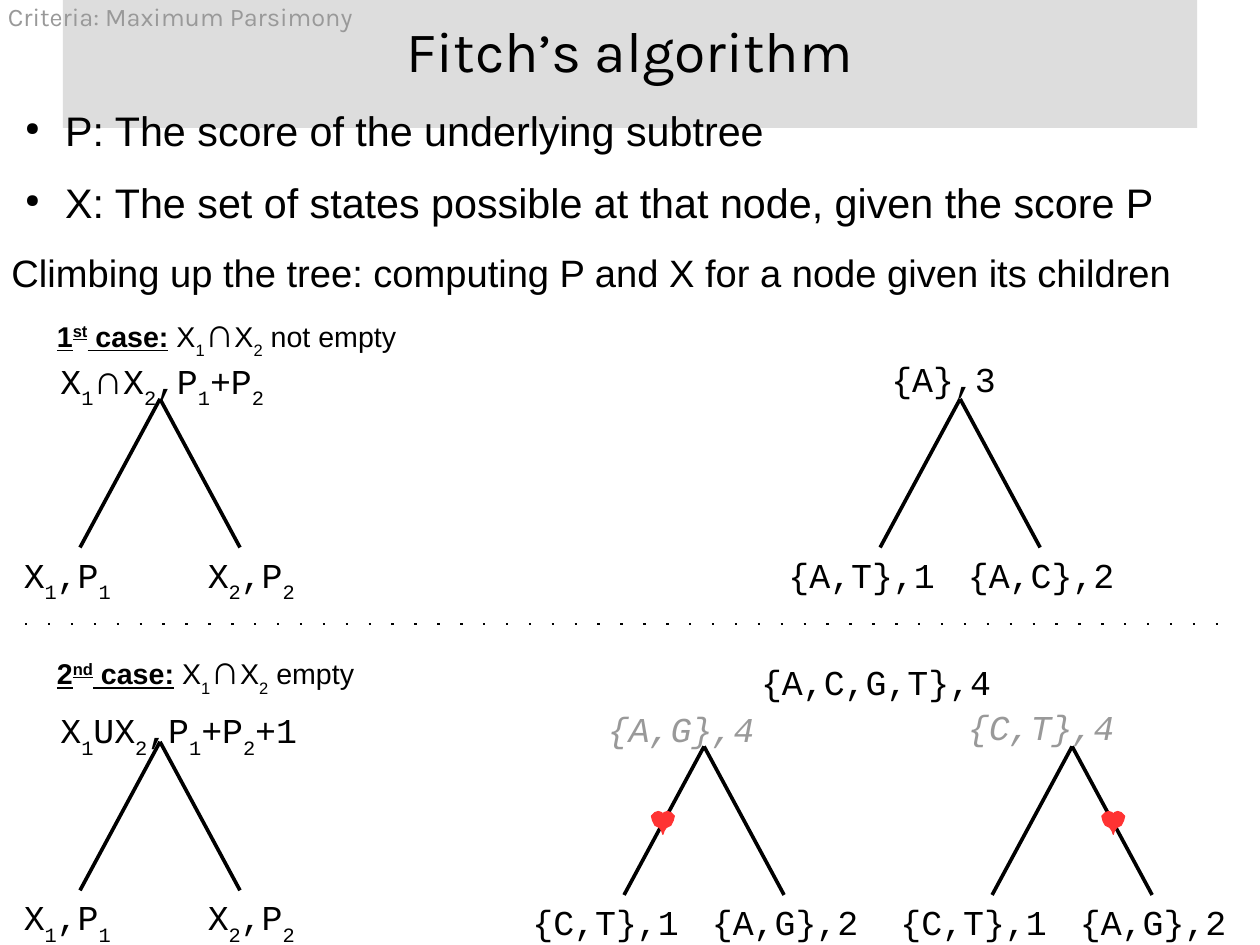
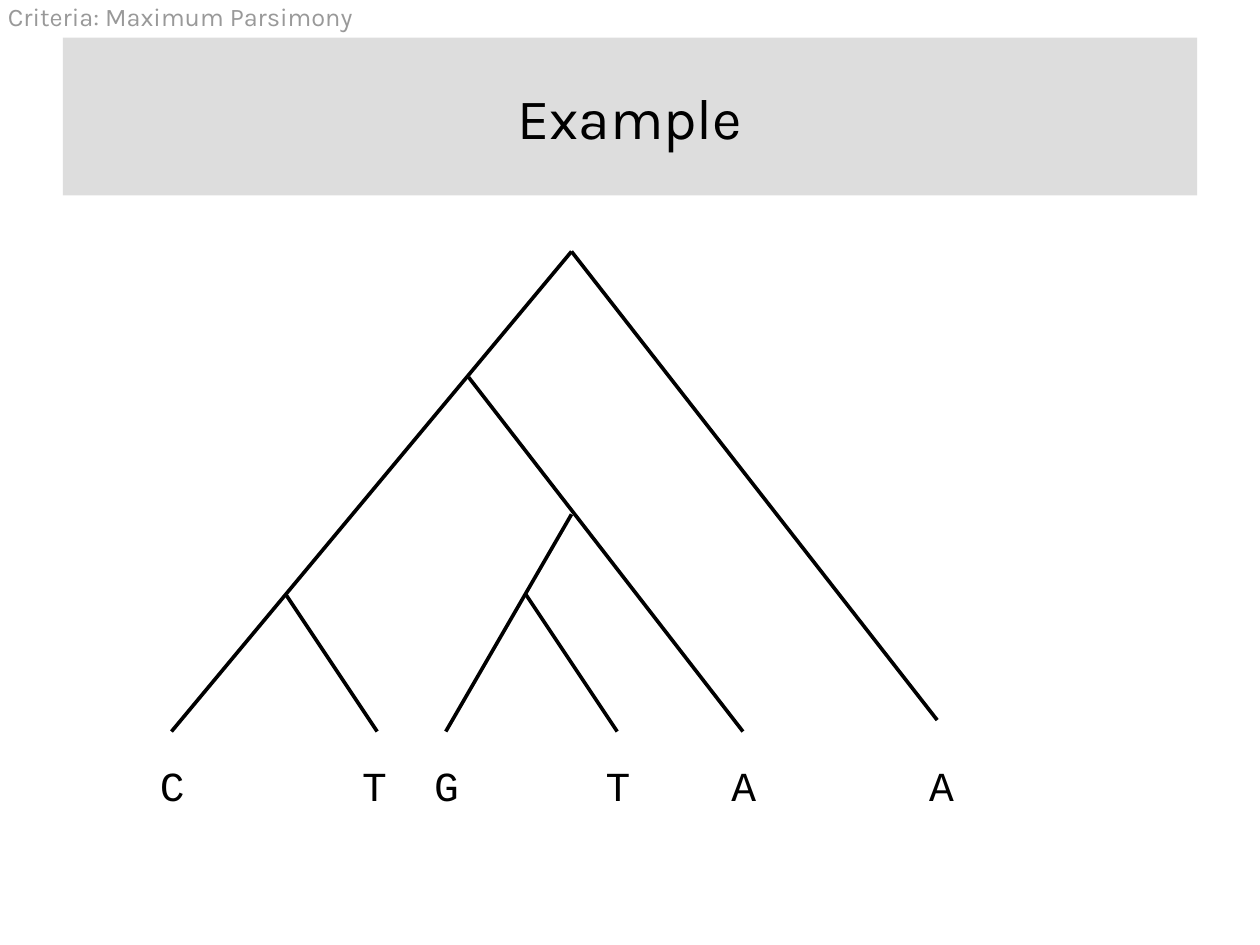
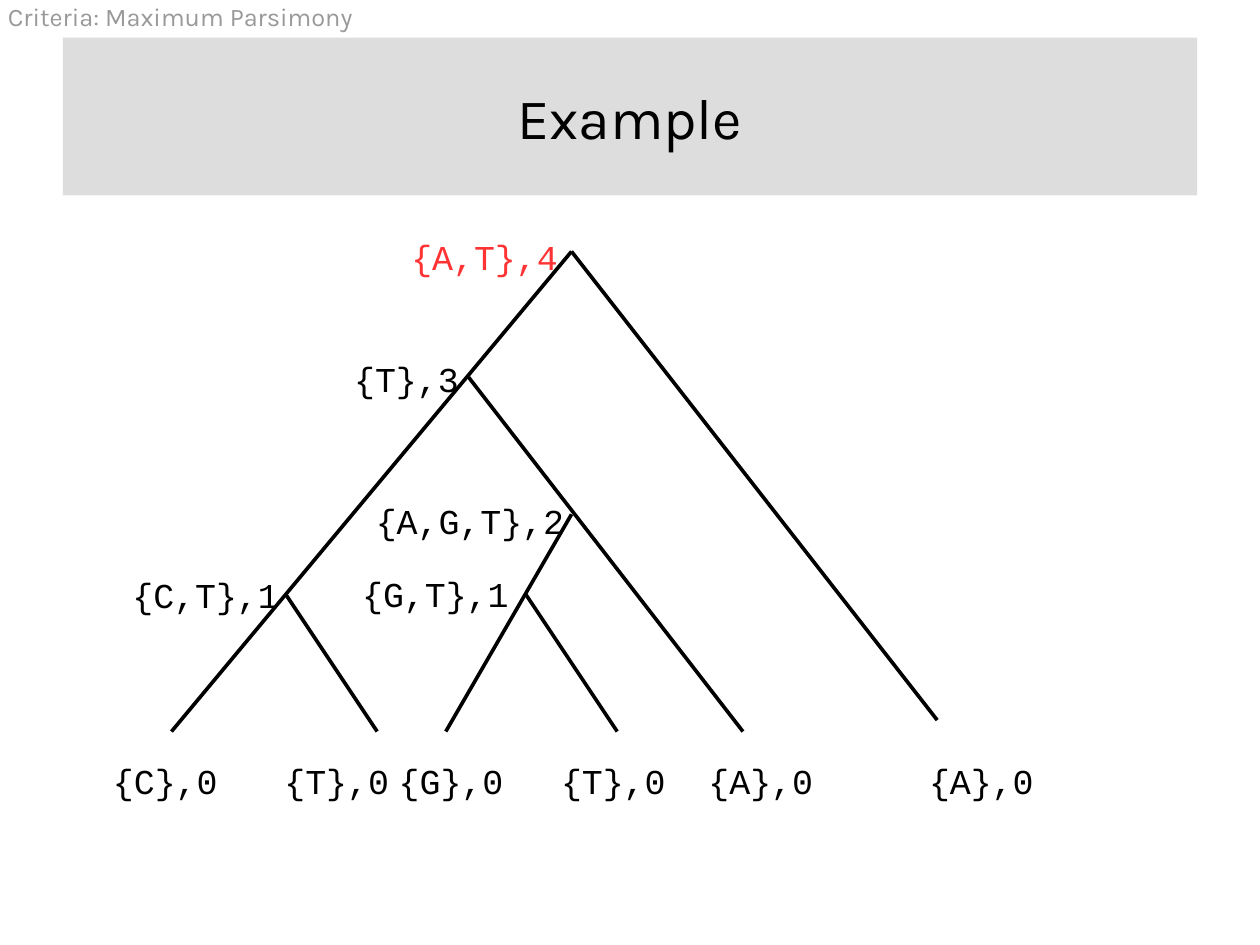
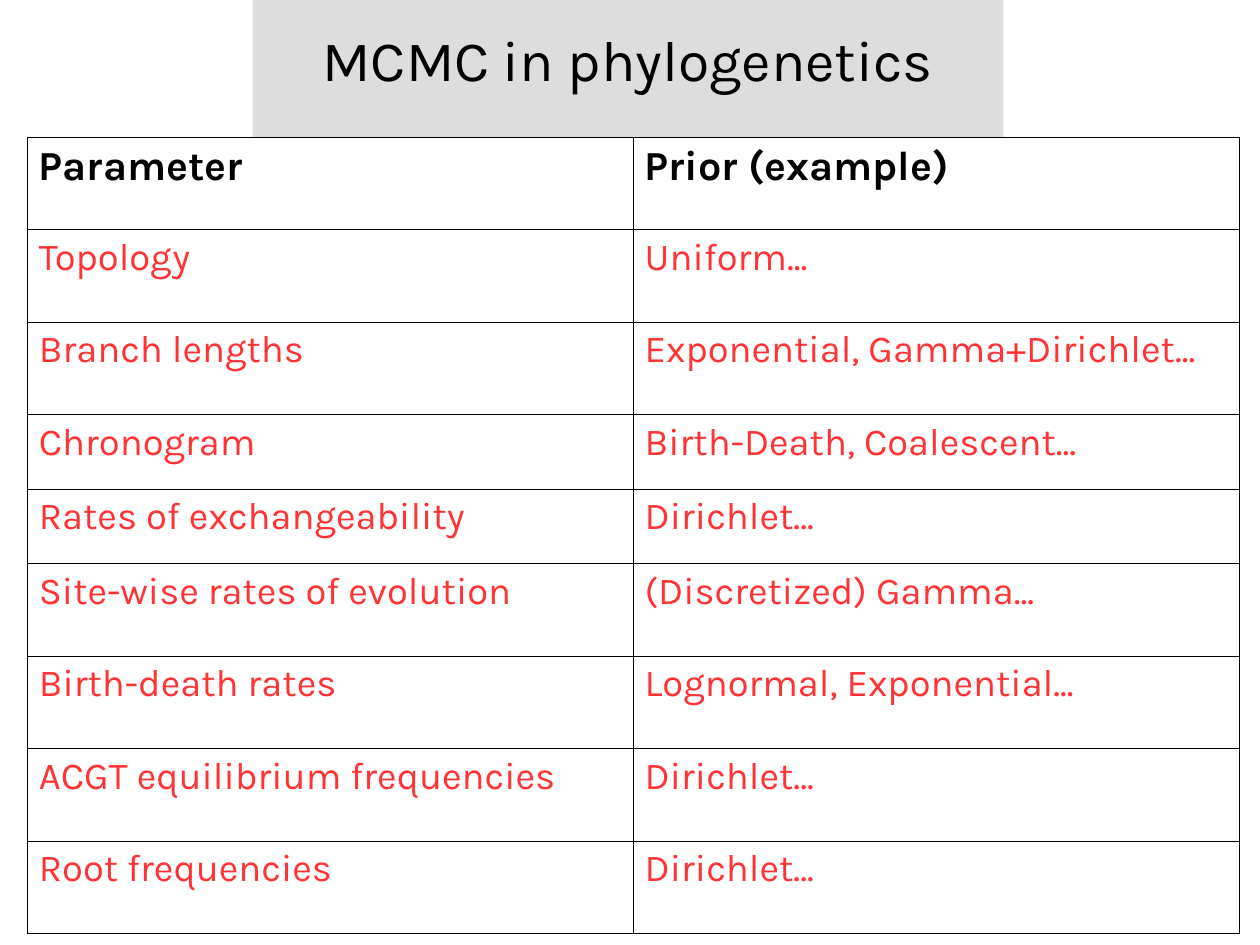
from lxml import etree
from pptx import Presentation
from pptx.dml.color import RGBColor
from pptx.enum.shapes import MSO_CONNECTOR as Connector, MSO_SHAPE as Shape
from pptx.enum.text import MSO_ANCHOR as Anchor, PP_ALIGN as Align
from pptx.oxml.ns import qn
from pptx.util import Cm, Inches, Pt

SLIDE_WIDTH, SLIDE_HEIGHT = Cm(28), Cm(21)
W = SLIDE_WIDTH.inches
BLACK = RGBColor(0x00, 0x00, 0x00)
GREY = RGBColor(0x99, 0x99, 0x99)
BAND = RGBColor(0xDD, 0xDD, 0xDD)
RED = RGBColor(0xFF, 0x33, 0x33)
HEADING, SANS, MONO = "Karla", "Arial", "Courier New"

BAND_LEFT = 0.55
BRANCH_PT = 2.3
FORK_DX, FORK_DY = 0.7, 1.3
LABEL_SIZE = 22
SUBSCRIPT, SUPERSCRIPT = -33000, 33000

# Right half of the heart outline, from the tip to the notch
HEART_HALF = [(0, 0.2), (0.01, 0.17), (0.03, 0.14), (0.07, 0.12), (0.09, 0.08),
              (0.1, 0.04), (0.07, 0.01), (0.04, 0), (0.01, 0.01), (0, 0.03)]

EXAMPLE_BRANCHES = [
    ((5, 2.2), (1.5, 6.4)), ((5, 2.2), (8.2, 6.3)), ((4.1, 3.3), (6.5, 6.4)),
    ((2.5, 5.2), (3.3, 6.4)), ((4.6, 5.2), (5.4, 6.4)), ((5, 4.5), (3.9, 6.4)),
]
LEAF_TOP = 6.6

PRIORS = [
    ("Parameter", "Prior (example)"),
    ("Topology", "Uniform..."),
    ("Branch lengths", "Exponential, Gamma+Dirichlet..."),
    ("Chronogram", "Birth-Death, Coalescent..."),
    ("Rates of exchangeability", "Dirichlet..."),
    ("Site-wise rates of evolution", "(Discretized) Gamma..."),
    ("Birth-death rates", "Lognormal, Exponential..."),
    ("ACGT equilibrium frequencies", "Dirichlet..."),
    ("Root frequencies", "Dirichlet..."),
]
LOW_ROWS = (3, 4)


def inches(*values):
    return [Inches(v) for v in values]


def sub(parent, tag, **attrs):
    """Append a DrawingML child element."""
    return etree.SubElement(parent, qn(tag), {k: str(v) for k, v in attrs.items()})


def add_run(p, text, size, font, color=BLACK, bold=False, italic=False,
            underline=False, baseline=0):
    r = p.add_run()
    r.text = text
    f = r.font
    f.size, f.name, f.color.rgb = Pt(size), font, color
    f.bold, f.italic, f.underline = bold, italic, underline
    if baseline:
        r._r.get_or_add_rPr().set("baseline", str(baseline))


def add_formula(p, formula, size, font, **style):
    """Write a formula in which "_" lowers the next character."""
    for i, part in enumerate(formula.split("_")):
        if i:
            add_run(p, part[0], size, font, baseline=SUBSCRIPT, **style)
            part = part[1:]
        before, cap, after = part.partition("∩")
        for text, sz, name in ((before, size, font), (cap, 26, SANS), (after, size, font)):
            if text:
                add_run(p, text, sz, name, **style)


def set_frame(tf, margin_x=0.0, margin_y=0.0, anchor=Anchor.TOP):
    tf.word_wrap = True
    tf.margin_left = tf.margin_right = Inches(margin_x)
    tf.margin_top = tf.margin_bottom = Inches(margin_y)
    tf.vertical_anchor = anchor
    return tf


def add_text(s, left, top, width, height, **frame):
    tb = s.shapes.add_textbox(*inches(left, top, width, height))
    return set_frame(tb.text_frame, **frame)


def title_band(s, text, top, left=BAND_LEFT, width=W - 2 * BAND_LEFT):
    sp = s.shapes.add_shape(Shape.RECTANGLE, *inches(left, top, width, 1.38))
    sp.shadow.inherit = False
    sp.fill.solid()
    sp.fill.fore_color.rgb = BAND
    sp.line.fill.background()
    p = set_frame(sp.text_frame, anchor=Anchor.MIDDLE).paragraphs[0]
    p.alignment = Align.CENTER
    add_run(p, text, 36, HEADING)


def section_tag(s):
    tf = add_text(s, 0.07, -0.2, 3.34, 0.68, anchor=Anchor.MIDDLE)
    add_run(tf.paragraphs[0], "Criteria: Maximum Parsimony", 16, HEADING, GREY)


def label(s, text, left, top, size=LABEL_SIZE, **style):
    """Monospaced node label, as wide as its characters need."""
    chars = len(text) - 1.42 * text.count("_") + 0.5 * text.count("∩")
    tf = add_text(s, left, top, chars * size * 0.6 / 72 + 0.25, size / 52,
                  margin_x=0.1, margin_y=0.05)
    add_formula(tf.paragraphs[0], text, size, MONO, **style)


def add_line(shapes, start, end, width):
    line = shapes.add_connector(Connector.STRAIGHT, *inches(*start, *end))
    line.line.color.rgb = BLACK
    line.line.width = Pt(width)
    sub(line._element.spPr, "a:effectLst")
    return line


def branches(s, segments):
    group = s.shapes.add_group_shape()
    for start, end in segments:
        add_line(group.shapes, start, end, BRANCH_PT)


def fork(s, x, y, leaves, leaf_dx):
    """Two branches down from (x, y), with a label under each."""
    branches(s, [((x, y), (x + side * FORK_DX, y + FORK_DY)) for side in (-1, 1)])
    for text, dx in zip(leaves, leaf_dx):
        label(s, text, x + dx, y + FORK_DY)


def heart(s, x, top):
    outline = HEART_HALF + [(-dx, dy) for dx, dy in HEART_HALF[-2:0:-1]]
    points = [inches(x + dx, top + dy) for dx, dy in outline]
    builder = s.shapes.build_freeform(*points[0])
    builder.add_line_segments(points[1:], close=True)
    sp = builder.convert_to_shape()
    sp.shadow.inherit = False
    sp.fill.solid()
    sp.fill.fore_color.rgb = RED
    sp.line.color.rgb = RED
    sp.line.width = Pt(0)


def dotted_rule(s, y):
    rule = add_line(s.shapes, (0.22, y), (10.82, y), 1.5)
    dash = sub(rule.line._get_or_add_ln(), "a:custDash")
    sub(dash, "a:ds", d=100000, sp=860000)


def case_heading(s, top, number, suffix, formula):
    tf = add_text(s, 0.4, top, 3.3, 0.54, margin_x=0.1, margin_y=0.05)
    p = tf.paragraphs[0]
    for text, baseline in ((number, 0), (suffix, SUPERSCRIPT), (" case:", 0)):
        add_run(p, text, 18, SANS, bold=True, underline=True, baseline=baseline)
    add_formula(p, " " + formula, 18, SANS)


def make_bullet(p):
    pPr = p._p.get_or_add_pPr()
    pPr.set("marL", str(Inches(0.47)))
    pPr.set("indent", str(Inches(-0.35)))
    sub(sub(pPr, "a:buClr"), "a:srgbClr", val=BLACK)
    sub(pPr, "a:buSzPct", val=45000)
    sub(pPr, "a:buChar", char="●")


def definitions(s):
    tf = add_text(s, 0.1, 0.92, 10.9, 2.15)
    lines = [
        ("P: The score of the underlying subtree", 26, True),
        ("X: The set of states possible at that node, given the score P", 26, True),
        ("Climbing up the tree: computing P and X for a node given its children", 24, False),
    ]
    for i, (text, size, bulleted) in enumerate(lines):
        p = tf.add_paragraph() if i else tf.paragraphs[0]
        if bulleted:
            make_bullet(p)
        if i:
            p.space_before = Pt(14.2)
        add_run(p, text, size, SANS)


def set_borders(cell):
    tcPr = cell._tc.get_or_add_tcPr()
    for side in ("a:lnL", "a:lnR", "a:lnT", "a:lnB"):
        ln = sub(tcPr, side, w=Pt(0.57))
        sub(sub(ln, "a:solidFill"), "a:srgbClr", val=BLACK)


def priors_table(s):
    heights = [0.65 if i in LOW_ROWS else 0.81 for i in range(len(PRIORS))]
    frame = s.shapes.add_table(len(PRIORS), 2, *inches(0.24, 1.2, 10.6, sum(heights)))
    table = frame.table
    table.first_row = table.horz_banding = False
    for i, (row, height) in enumerate(zip(PRIORS, heights)):
        table.rows[i].height = Inches(height)
        for j, text in enumerate(row):
            cell = table.cell(i, j)
            set_borders(cell)
            cell.fill.background()
            size, color = (24, RED) if i else (26, BLACK)
            add_run(cell.text_frame.paragraphs[0], text, size, HEADING, color, bold=i == 0)


def fitch_slide(s):
    title_band(s, "Fitch’s algorithm", -0.26)
    definitions(s)
    section_tag(s)
    case_heading(s, 2.63, "1", "st", "X_1∩X_2 not empty")
    case_heading(s, 5.58, "2", "nd", "X_1∩X_2 empty")

    symbols, symbol_dx = ("X_1,P_1", "X_2,P_2"), (-1.29, 0.32)
    set_dx = (-1.6, -0.03)
    fork(s, 1.4, 3.49, symbols, symbol_dx)
    fork(s, 8.4, 3.49, ("{A,T},1", "{A,C},2"), set_dx)
    fork(s, 1.4, 6.49, symbols, symbol_dx)
    for x in (6.16, 9.38):
        fork(s, x, 6.53, ("{C,T},1", "{A,G},2"), set_dx)

    label(s, "X_1∩X_2,P_1+P_2", 0.43, 3.04)
    label(s, "{A},3", 7.7, 3.08)
    label(s, "X_1UX_2,P_1+P_2+1", 0.43, 6.15)
    label(s, "{A,C,G,T},4", 6.56, 5.73)
    label(s, "{A,G},4", 5.22, 6.14, color=GREY, italic=True)
    label(s, "{C,T},4", 8.37, 6.12, color=GREY, italic=True)
    for x in (5.8, 9.74):
        heart(s, x, 7.1)
    dotted_rule(s, 5.46)


def example_slide(s, leaves, leaf_size):
    title_band(s, "Example", 0.33)
    section_tag(s)
    branches(s, EXAMPLE_BRANCHES)
    for text, left in leaves:
        label(s, text, left, LEAF_TOP, leaf_size)


def solved_nodes(s):
    for text, left, top in [("{C,T},1", 1.06, 4.97), ("{G,T},1", 3.07, 4.96),
                            ("{A,G,T},2", 3.19, 4.32), ("{T},3", 3, 3.08)]:
        label(s, text, left, top)
    label(s, "{A,T},4", 3.5, 2.01, color=RED)


def mcmc_slide(s):
    title_band(s, "MCMC in phylogenetics", -0.18, left=2.21, width=6.57)
    priors_table(s)


def main():
    prs = Presentation()
    prs.slide_width = SLIDE_WIDTH
    prs.slide_height = SLIDE_HEIGHT
    blank = prs.slide_layouts[6]

    fitch_slide(prs.slides.add_slide(blank))

    states = "CTGTAA"
    example_slide(prs.slides.add_slide(blank),
                  zip(states, (1.3, 3.07, 3.7, 5.2, 6.3, 8.03)), 26)

    solved = prs.slides.add_slide(blank)
    scored = [f"{{{state}}},0" for state in states]
    example_slide(solved, zip(scored, (0.89, 2.39, 3.39, 4.81, 6.1, 8.03)), LABEL_SIZE)
    solved_nodes(solved)

    mcmc_slide(prs.slides.add_slide(blank))
    prs.save("out.pptx")


if __name__ == "__main__":
    main()
